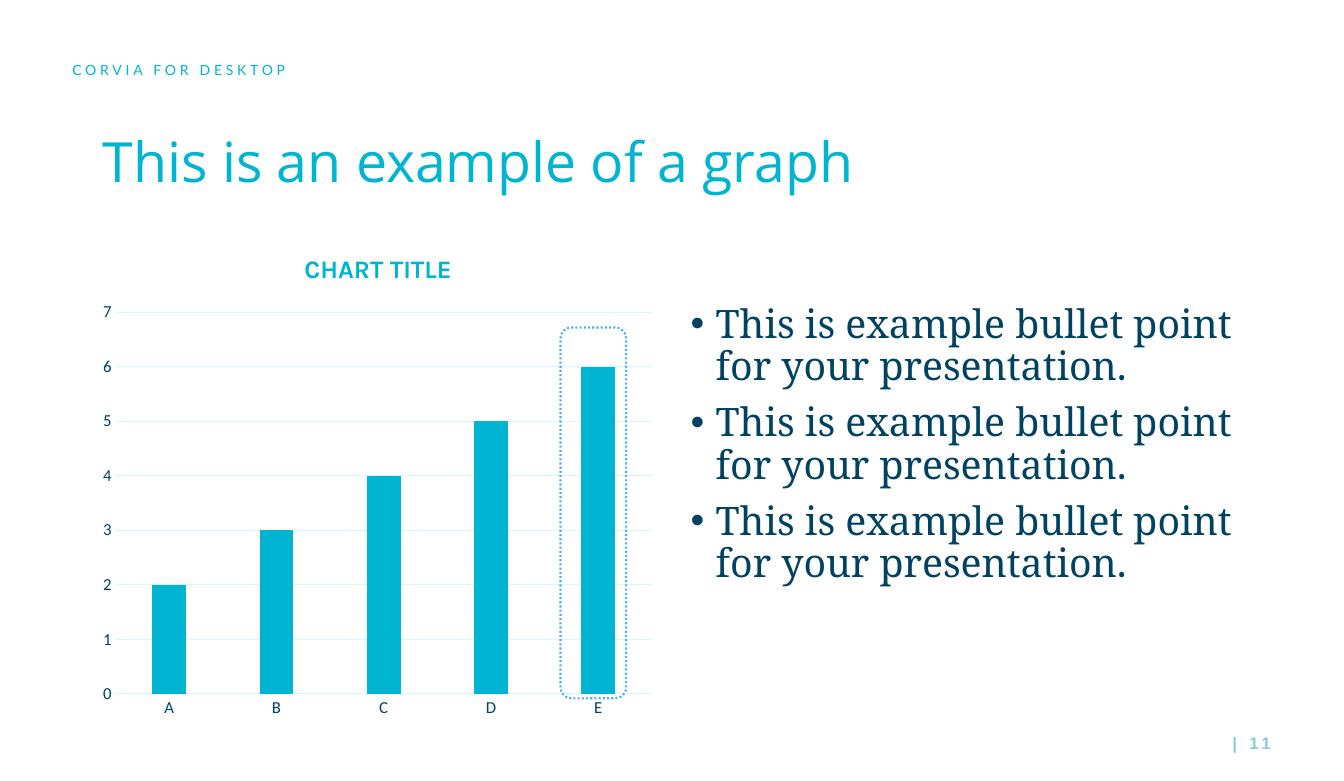
import lxml.etree
import pptx
import pptx.chart.data
import pptx.dml.color
import pptx.enum.chart
import pptx.enum.dml
import pptx.enum.shapes
import pptx.enum.text
import pptx.oxml.ns
import pptx.util

Pt = pptx.util.Pt
qn = pptx.oxml.ns.qn
Align = pptx.enum.text.PP_ALIGN
Anchor = pptx.enum.text.MSO_ANCHOR
Tick = pptx.enum.chart.XL_TICK_MARK

HUES = {"cyan": "00B4D2", "head": "01B4D2", "navy": "004261",
        "pale": "D2F9FF", "dots": "4DB2E3", "page": "8CCADE"}
RGB = {name: pptx.dml.color.RGBColor.from_string(hue) for name, hue in HUES.items()}

deck = pptx.Presentation()
deck.slide_width = pptx.util.Inches(13.33)
deck.slide_height = pptx.util.Inches(7.75)
slide = deck.slides.add_slide(deck.slide_layouts[6])


def area(left, top, width, height):
    """Turn percent shares of the slide into a position and a size."""
    wide, high = deck.slide_width / 100, deck.slide_height / 100
    return [int(share * unit) for share, unit in
            zip((left, top, width, height), (wide, high, wide, high))]


def style(font, hue, form):
    """Set the colour and the given format values of a font."""
    font.color.rgb = RGB[hue]
    for key, value in form.items():
        setattr(font, key, value)


# Column chart
data = pptx.chart.data.CategoryChartData()
data.categories = list("ABCDE")
data.add_series("Series 1", [2, 3, 4, 5, 6])
chart = slide.shapes.add_chart(
    pptx.enum.chart.XL_CHART_TYPE.COLUMN_CLUSTERED,
    *area(6.9, 29.81, 42.46, 63.48), data).chart
style(chart.font, "cyan", {"name": "Calibri", "size": Pt(10)})
chart.has_legend = False
chart.has_title = True
title = chart.chart_title.text_frame
title.text = "CHART TITLE"
style(title.paragraphs[0].runs[0].font, "cyan",
      {"name": "Karla", "size": Pt(18), "bold": True})

plot = chart.plots[0]
for key, value in {"gap_width": 219, "overlap": -27, "vary_by_categories": False}.items():
    setattr(plot, key, value)
fill = plot.series[0].format.fill
fill.solid()
fill.fore_color.rgb = RGB["cyan"]

cats, vals = chart.category_axis, chart.value_axis
for axis in (cats, vals):
    axis.major_tick_mark = axis.minor_tick_mark = Tick.NONE
    style(axis.tick_labels.font, "navy", {"name": "Calibri", "size": Pt(12)})
for key, value in {"minimum_scale": 0, "maximum_scale": 7, "major_unit": 1,
                   "has_major_gridlines": True}.items():
    setattr(vals, key, value)
for line in (cats.format.line, vals.major_gridlines.format.line):
    line.color.rgb = RGB["pale"]
    line.width = Pt(0.75)
vals.format.line.fill.background()

# Fixed inner plot area, in shares of the chart
grid = chart.element.find(".//" + qn("c:plotArea"))
for old in grid.findall(qn("c:layout")):
    grid.remove(old)
layout = lxml.etree.Element(qn("c:layout"))
grid.insert(0, layout)
manual = lxml.etree.SubElement(layout, qn("c:manualLayout"))
for tag, value in {"layoutTarget": "inner", "xMode": "edge", "yMode": "edge",
                   "x": 0.04, "y": 0.16, "w": 0.94, "h": 0.77}.items():
    lxml.etree.SubElement(manual, qn("c:" + tag)).set("val", str(value))

# Text: lines, area, colour, font, paragraph format, anchor, tracking, bullet
point = "This is example bullet point for your presentation."
texts = [
    (["| 11"], (89.87, 92.65, 6.53, 5.29), "page",
     {"name": "Arial", "size": Pt(12), "bold": True},
     {"alignment": Align.CENTER, "line_spacing": 0.8, "space_before": Pt(6.1)},
     Anchor.MIDDLE, 270, False),
    ([point] * 3, (50.64, 38.32, 42.54, 63.48), "navy",
     {"name": "Noto Serif", "size": Pt(28)},
     {"line_spacing": 0.9, "space_before": Pt(10)}, Anchor.TOP, 0, True),
    (["This is an example of a graph"], (6.9, 17.42, 86.27, 7.23), "cyan",
     {"name": "Open Sans", "size": Pt(39.6)},
     {"line_spacing": 0.9}, Anchor.MIDDLE, 0, False),
    (["CORVIA FOR DESKTOP"], (4.65, 7.61, 34.88, 3.1), "head",
     {"name": "Lato", "size": Pt(10)},
     {"line_spacing": 0.8, "space_before": Pt(6.1)}, Anchor.TOP, 270, False),
]
for lines, place, hue, form, flow, anchor, track, dot in texts:
    frame = slide.shapes.add_textbox(*area(*place)).text_frame
    frame.word_wrap = True
    frame.vertical_anchor = anchor
    frame.text = "\n".join(lines)
    for para in frame.paragraphs:
        for key, value in flow.items():
            setattr(para, key, value)
        run = para.runs[0]
        style(run.font, hue, form)
        if track:
            run.font._element.set("spc", str(track))
        if dot:
            props = para._p.get_or_add_pPr()
            indent = pptx.util.Inches(0.25)
            props.set("marL", str(indent))
            props.set("indent", str(-indent))
            lxml.etree.SubElement(props, qn("a:buFont")).set("typeface", "Arial")
            lxml.etree.SubElement(props, qn("a:buChar")).set("char", "•")

# Dotted frame around the last column
frame = slide.shapes.add_shape(pptx.enum.shapes.MSO_SHAPE.ROUNDED_RECTANGLE,
                               *area(41.71, 41.94, 4.88, 47.48))
frame.shadow.inherit = False
frame.fill.background()
frame.line.color.rgb = RGB["dots"]
frame.line.width = Pt(1.5)
frame.line.dash_style = pptx.enum.dml.MSO_LINE.ROUND_DOT

deck.save("out.pptx")
